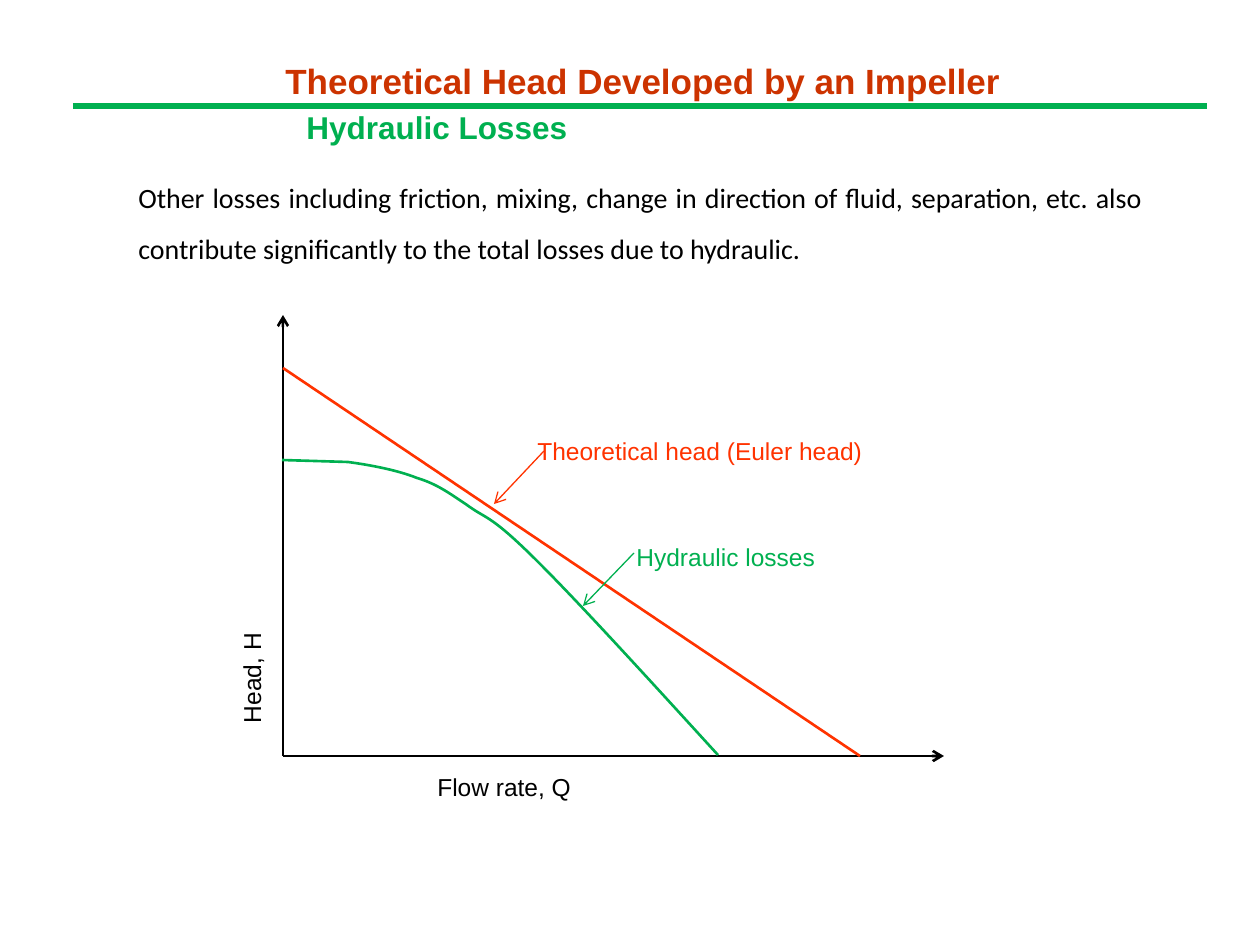
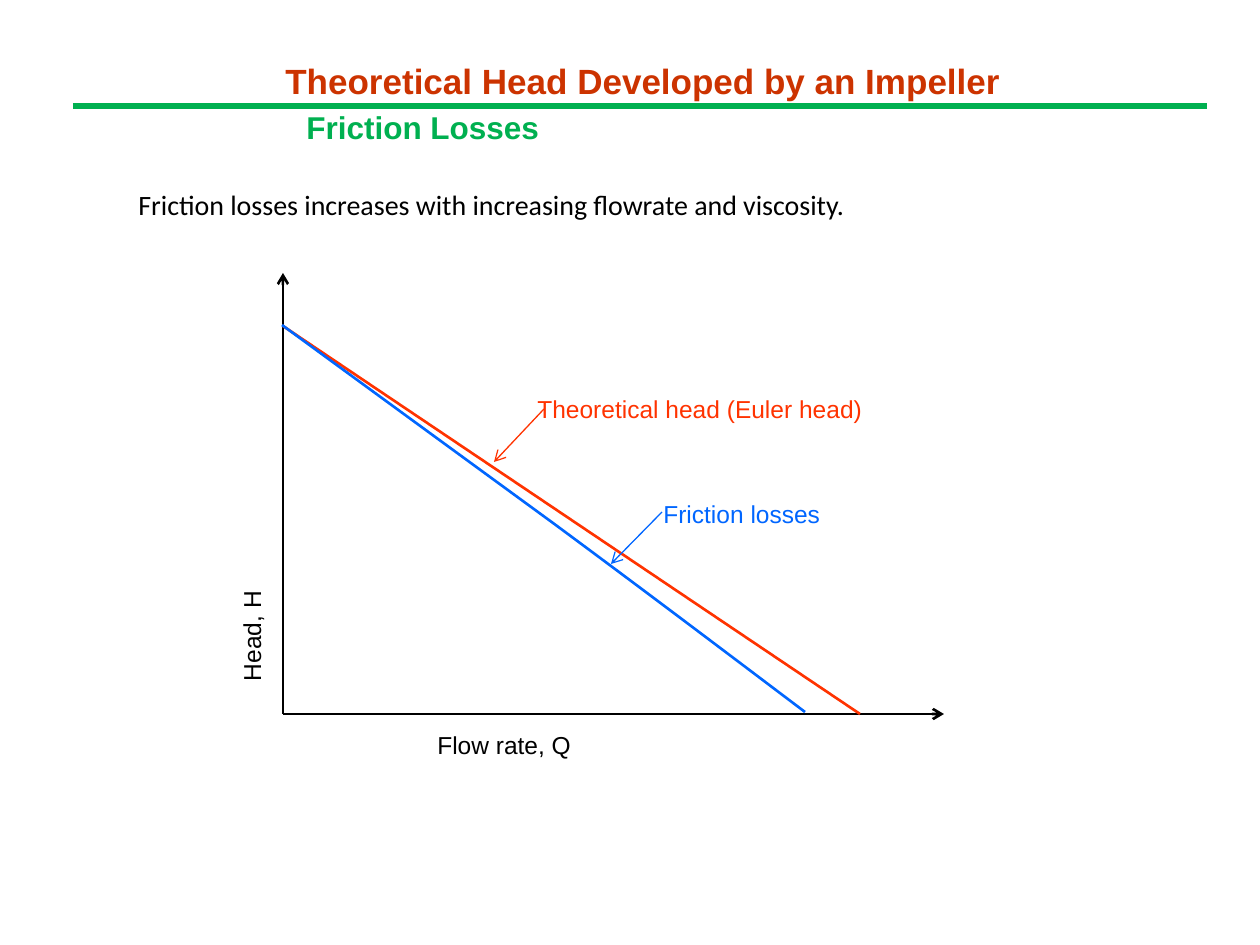
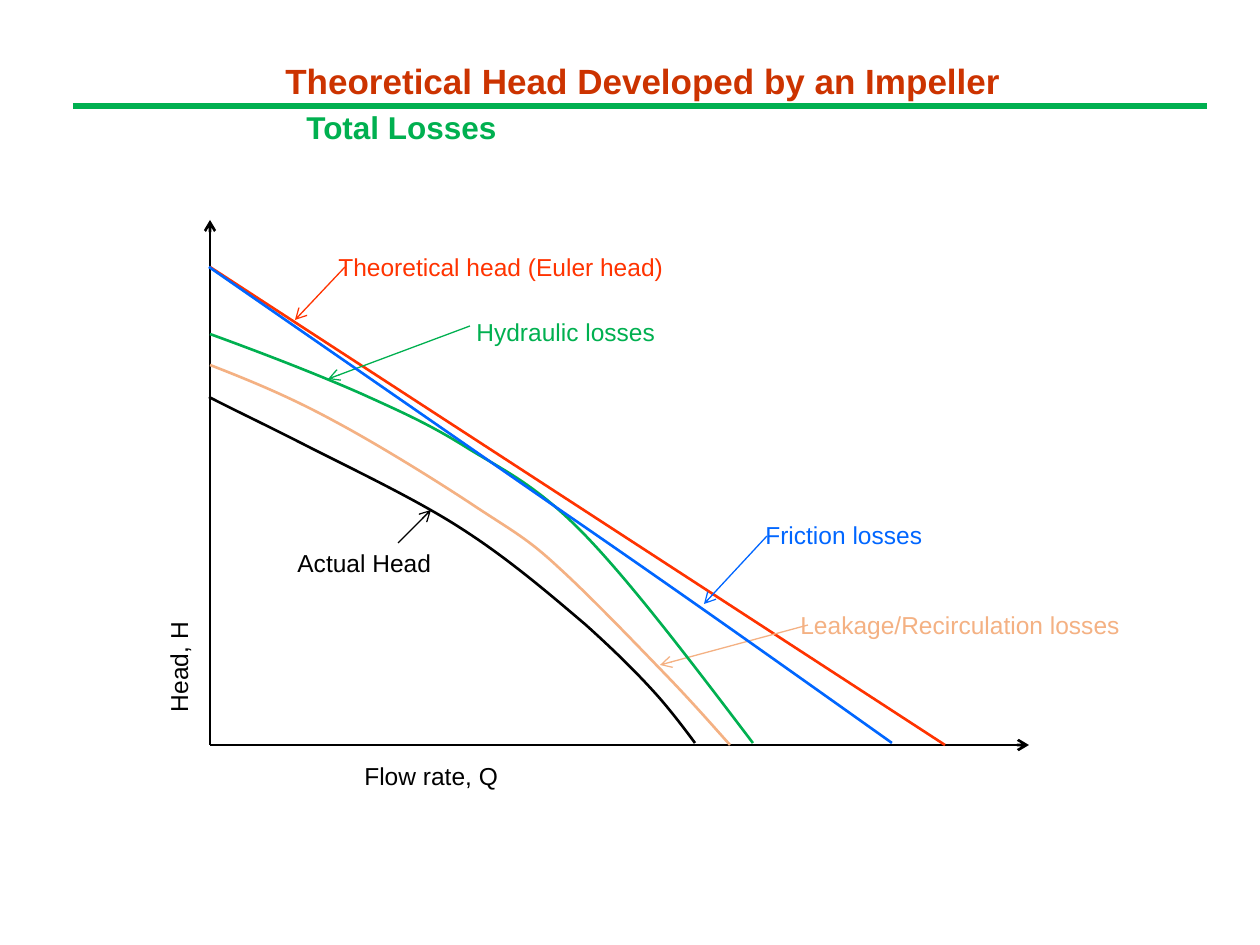
from pptx import Presentation
from pptx.dml.color import RGBColor
from pptx.enum.shapes import MSO_CONNECTOR
from pptx.enum.text import MSO_AUTO_SIZE, PP_ALIGN
from pptx.oxml.ns import qn
from pptx.oxml.xmlchemy import OxmlElement
from pptx.util import Pt

EMU_PER_PX = 914400 / 126
RUST = RGBColor(0xCC, 0x33, 0x00)
GREEN = RGBColor(0x00, 0xB0, 0x50)
RED = RGBColor(0xFF, 0x33, 0x00)
BLUE = RGBColor(0x00, 0x66, 0xFF)
PEACH = RGBColor(0xF4, 0xB1, 0x83)
BLACK = RGBColor(0x00, 0x00, 0x00)

TITLE = {"name": "Arial", "size": Pt(20), "bold": True}
SUBTITLE = {"name": "Arial", "size": Pt(18), "bold": True}
LABEL = {"name": "Arial", "size": Pt(14)}
BODY = {"name": "Calibri", "size": Pt(16)}
CURVE_WIDTH = 1.5
POINTER_WIDTH = 0.75


def px(length):
    return round(length * EMU_PER_PX)


def add_text(shapes, text, place, font, colour, fit=True):
    box = shapes.add_textbox(*map(px, place))
    box.text_frame.word_wrap = True
    if fit:
        box.text_frame.auto_size = MSO_AUTO_SIZE.SHAPE_TO_FIT_TEXT
    para = box.text_frame.paragraphs[0]
    span = para.add_run()
    span.text = text
    for name, value in font.items():
        setattr(span.font, name, value)
    span.font.color.rgb = colour
    return box


def add_line(shapes, start, end, colour, width, arrow=False):
    line = shapes.add_connector(MSO_CONNECTOR.STRAIGHT, *map(px, (*start, *end)))
    line.line.color.rgb = colour
    line.line.width = Pt(width)
    properties = line._element.spPr
    if arrow:
        tail = OxmlElement("a:tailEnd")
        tail.set("type", "arrow")
        properties.find(qn("a:ln")).append(tail)
    properties.append(OxmlElement("a:effectLst"))


def add_curve(shapes, points, colour):
    """Draw cubic curves: a start point, then two controls and an end for each piece."""
    builder = shapes.build_freeform(*points[0], scale=EMU_PER_PX)
    builder.add_line_segments(points[1:], close=False)
    curve = builder.convert_to_shape()
    curve.shadow.inherit = False
    curve.fill.background()
    curve.line.color.rgb = colour
    curve.line.width = Pt(CURVE_WIDTH)
    steps = list(curve._element.iter(qn("a:lnTo")))
    for index in range(0, len(steps), 3):
        piece = OxmlElement("a:cubicBezTo")
        steps[index].addprevious(piece)
        for step in steps[index:index + 3]:
            piece.append(step[0])
            step.getparent().remove(step)


class HeadGraph:
    """Head against flow rate; all points are offsets from the origin of the axes."""

    def __init__(self, page, origin, axis_width, axis_height):
        self.shapes = page.shapes.add_group_shape().shapes
        self.origin = origin
        self.line((0, 0), (axis_width, 0), BLACK, CURVE_WIDTH, arrow=True)
        self.line((0, 0), (0, -axis_height), BLACK, CURVE_WIDTH, arrow=True)
        self.label("Flow rate, Q", (142, 10), BLACK)
        self.label("Head, H", (-220, -231), BLACK).rotation = 270

    def at(self, point):
        return self.origin[0] + point[0], self.origin[1] + point[1]

    def line(self, start, end, colour, width, arrow=False):
        add_line(self.shapes, self.at(start), self.at(end), colour, width, arrow)

    def label(self, text, corner, colour, width=378):
        return add_text(self.shapes, text, (*self.at(corner), width, 43), LABEL, colour)

    def callout(self, text, corner, start, tip, colour, width=378):
        self.line(start, tip, colour, POINTER_WIDTH, arrow=True)
        self.label(text, corner, colour, width)

    def curve(self, points, colour):
        add_curve(self.shapes, [self.at(point) for point in points], colour)

    def theoretical_head(self, top, end, tip):
        self.line((0, top), (end, 0), RED, CURVE_WIDTH)
        x, y = tip
        self.callout("Theoretical head (Euler head)", (x + 31, y - 74),
                     (x + 50, y - 53), tip, RED)


def add_page(deck, subtitle):
    page = deck.slides.add_slide(deck.slide_layouts[6])
    add_line(page.shapes, (73, 106), (1207, 106), GREEN, 3)
    add_text(page.shapes, subtitle, (294, 102, 725, 50), SUBTITLE, GREEN)
    add_text(page.shapes, "Theoretical Head Developed by an Impeller",
             (273, 53, 766, 55), TITLE, RUST)
    return page


def add_body(page, text, spacing, space_after):
    box = add_text(page.shapes, text, (126, 158, 1029, 746), BODY, BLACK, fit=False)
    para = box.text_frame.paragraphs[0]
    para.alignment = PP_ALIGN.JUSTIFY
    para.line_spacing = spacing
    para.space_after = Pt(space_after)


def add_hydraulic_page(deck):
    page = add_page(deck, "Hydraulic Losses")
    add_body(page, "Other losses including friction, mixing, change in direction of fluid, "
             "separation, etc. also contribute significantly to the total losses due to "
             "hydraulic.", 1.5, 6)
    graph = HeadGraph(page, (283, 756), 661, 441)
    graph.theoretical_head(-388, 577, (211, -252))
    graph.callout("Hydraulic losses", (341, -220), (351, -203), (300, -150), GREEN)
    graph.curve([(-1, -296), (-1, -296), (65, -294), (65, -294),
                 (87, -291), (114, -286), (134, -278),
                 (154, -272), (166, -263), (184, -251),
                 (203, -237), (206, -242), (247, -202),
                 (290, -160), (362, -81), (435, -1)], GREEN)


def add_friction_page(deck):
    page = add_page(deck, "Friction Losses")
    add_body(page, "Friction losses increases with increasing flowrate and viscosity.", 1.7, 0)
    graph = HeadGraph(page, (283, 714), 661, 441)
    graph.theoretical_head(-388, 577, (211, -252))
    graph.curve([(-1, -389), (-1, -389), (270, -191), (270, -191),
                 (358, -126), (440, -64), (522, -2)], BLUE)
    graph.callout("Friction losses", (368, -221), (379, -202), (328, -150), BLUE)


def add_total_page(deck):
    page = add_page(deck, "Total Losses")
    graph = HeadGraph(page, (210, 745), 819, 525)
    graph.theoretical_head(-478, 735, (85, -425))
    graph.callout("Leakage/Recirculation losses", (578, -141), (598, -120), (450, -80), PEACH)
    graph.curve([(0, -380), (41, -364), (80, -348), (124, -324),
                 (169, -300), (230, -262), (266, -238),
                 (304, -213), (318, -206), (348, -178),
                 (380, -149), (426, -101), (454, -72),
                 (483, -42), (502, -20), (520, 0)], PEACH)
    graph.callout("Hydraulic losses", (254, -434), (260, -419), (118, -366), GREEN)
    graph.curve([(0, -411), (55, -391), (109, -370), (152, -351),
                 (194, -332), (221, -320), (259, -296),
                 (295, -274), (328, -259), (376, -209),
                 (423, -160), (483, -81), (543, -2)], GREEN)
    graph.curve([(-1, -478), (-1, -478), (353, -233), (353, -233),
                 (468, -154), (575, -78), (682, -2)], BLUE)
    graph.callout("Friction losses", (543, -231), (557, -209), (494, -141), BLUE)
    graph.curve([(-1, -348), (26, -334), (52, -322), (95, -300),
                 (138, -278), (206, -246), (252, -216),
                 (299, -186), (343, -148), (376, -120),
                 (407, -92), (428, -71), (446, -51),
                 (464, -31), (485, -2), (485, -2)], BLACK)
    graph.callout("Actual Head", (75, -203), (188, -202), (221, -235), BLACK, width=168)


def main():
    deck = Presentation()
    deck.slide_width, deck.slide_height = px(1260), px(945)
    add_hydraulic_page(deck)
    add_friction_page(deck)
    add_total_page(deck)
    deck.save("out.pptx")


if __name__ == "__main__":
    main()
